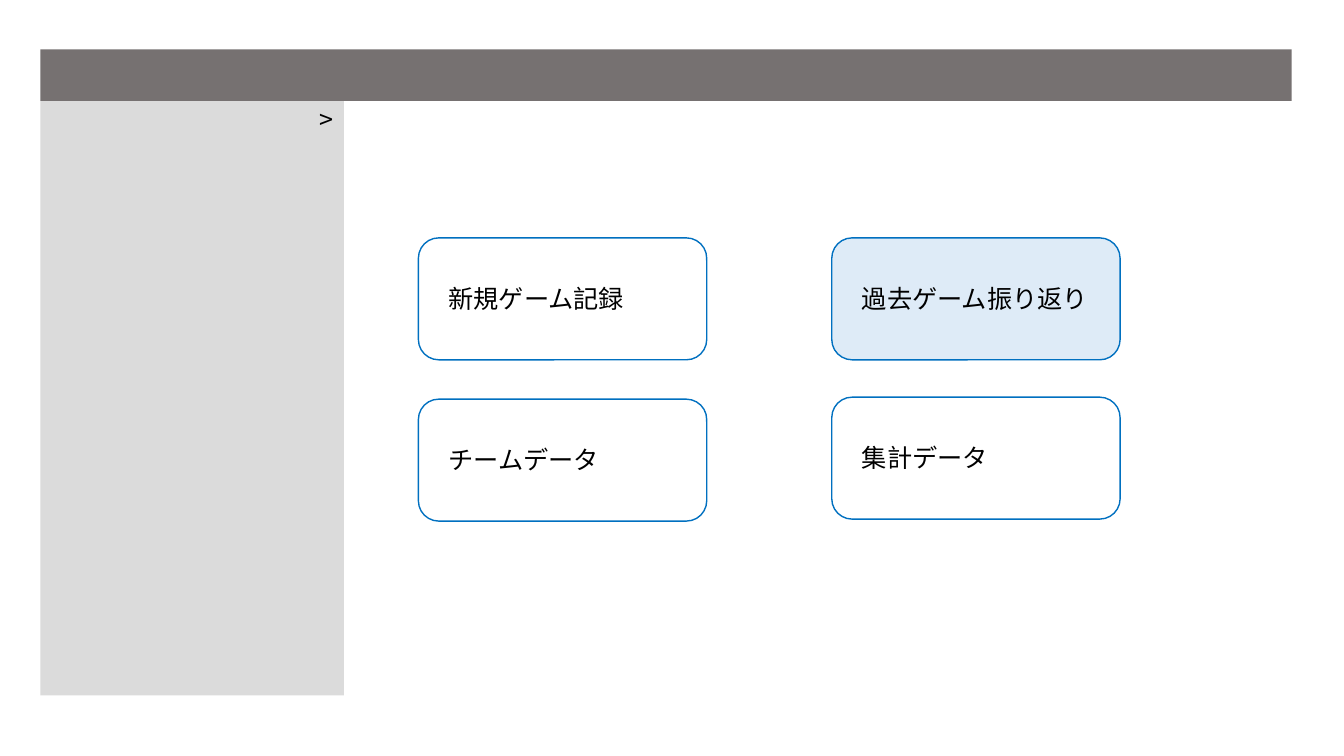
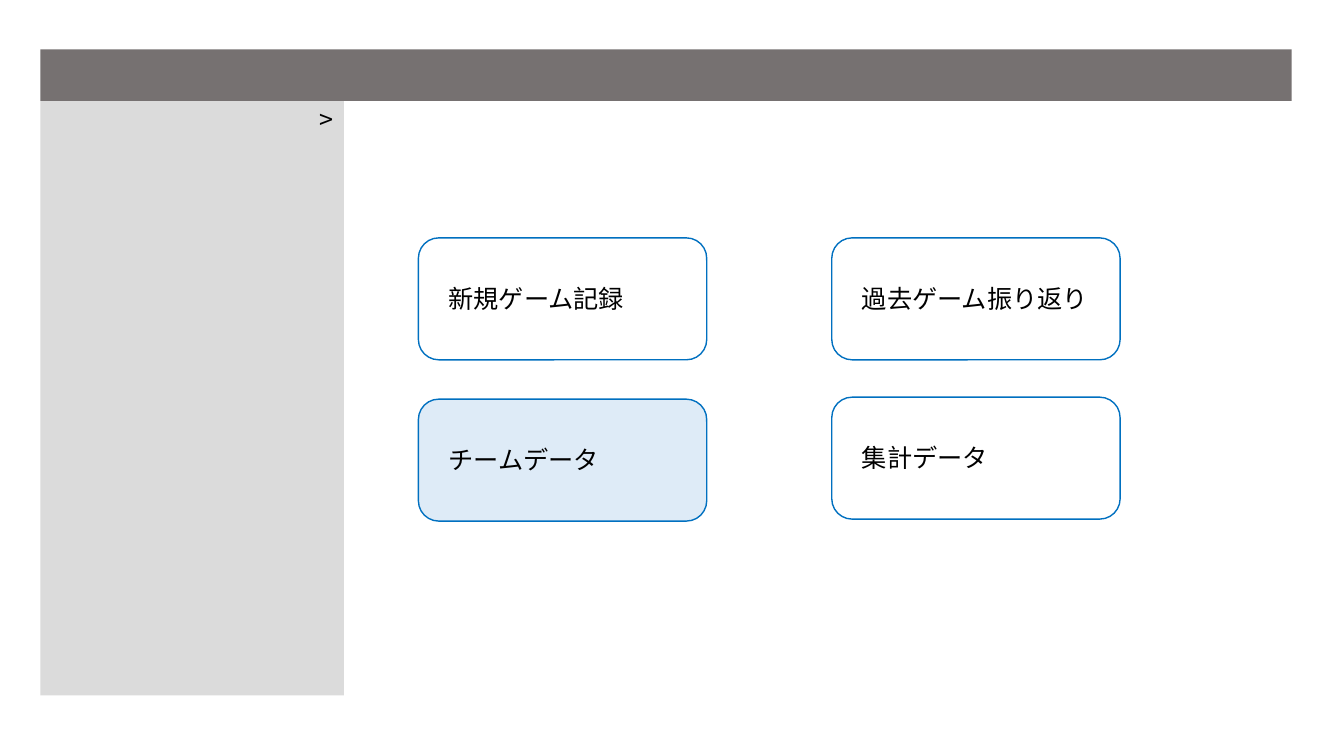
"""Build two menu screens, each with a different card highlighted."""
from dataclasses import dataclass

from lxml.etree import SubElement
from pptx import Presentation
from pptx.dml.color import RGBColor
from pptx.enum.shapes import MSO_SHAPE
from pptx.enum.text import MSO_AUTO_SIZE
from pptx.oxml.ns import qn
from pptx.util import Inches, Pt


@dataclass(frozen=True)
class Theme:
    header: RGBColor = RGBColor(0x76, 0x71, 0x71)
    sidebar: RGBColor = RGBColor(0xDB, 0xDB, 0xDB)
    highlight: RGBColor = RGBColor(0xDE, 0xEB, 0xF7)
    outline: RGBColor = RGBColor(0x00, 0x70, 0xC0)
    text: RGBColor = RGBColor(0x00, 0x00, 0x00)
    font: str = "Noto Sans CJK JP"
    text_size: Pt = Pt(18)
    outline_width: Pt = Pt(1)


theme = Theme()


def add_panel(page, kind, left, top, width, height, fill=None, outline=None):
    panel = page.shapes.add_shape(
        kind, Inches(left), Inches(top), Inches(width), Inches(height)
    )
    panel.shadow.inherit = False
    if fill is None:
        panel.fill.background()
    else:
        panel.fill.solid()
        panel.fill.fore_color.rgb = fill
    if outline is None:
        panel.line.fill.background()
    else:
        panel.line.color.rgb = outline
        panel.line.width = theme.outline_width


def add_label(page, text, left, top, width):
    box = page.shapes.add_textbox(
        Inches(left), Inches(top), Inches(width), Inches(0.4)
    )
    frame = box.text_frame
    frame.text = text
    frame.word_wrap = True
    frame.auto_size = MSO_AUTO_SIZE.SHAPE_TO_FIT_TEXT
    span = frame.paragraphs[0].runs[0]
    span.font.size = theme.text_size
    span.font.color.rgb = theme.text
    span.font.name = theme.font
    SubElement(span._r.get_or_add_rPr(), qn("a:ea")).set("typeface", theme.font)
    return box


cards = [
    ("新規ゲーム記録", 4.15, 2.36),
    ("過去ゲーム振り返り", 8.25, 2.36),
    ("チームデータ", 4.15, 3.96),
    ("集計データ", 8.25, 3.94),
]

deck = Presentation()
deck.slide_width = Inches(13.33)
deck.slide_height = Inches(7.5)

for selected in ("過去ゲーム振り返り", "チームデータ"):
    page = deck.slides.add_slide(deck.slide_layouts[6])
    add_panel(page, MSO_SHAPE.RECTANGLE, 0.4, 1, 3.01, 5.9, theme.sidebar)
    add_panel(page, MSO_SHAPE.RECTANGLE, 0.4, 0.49, 12.41, 0.51, theme.header)
    toggle = add_label(page, "<", 3.02, 1, 0.39)
    toggle.rotation = 180
    for title, left, top in cards:
        fill = theme.highlight if title == selected else None
        add_panel(
            page, MSO_SHAPE.ROUNDED_RECTANGLE, left, top, 2.86, 1.21,
            fill, theme.outline,
        )
        add_label(page, title, left + 0.2, top + 0.4, 2.47)

deck.save("out.pptx")
